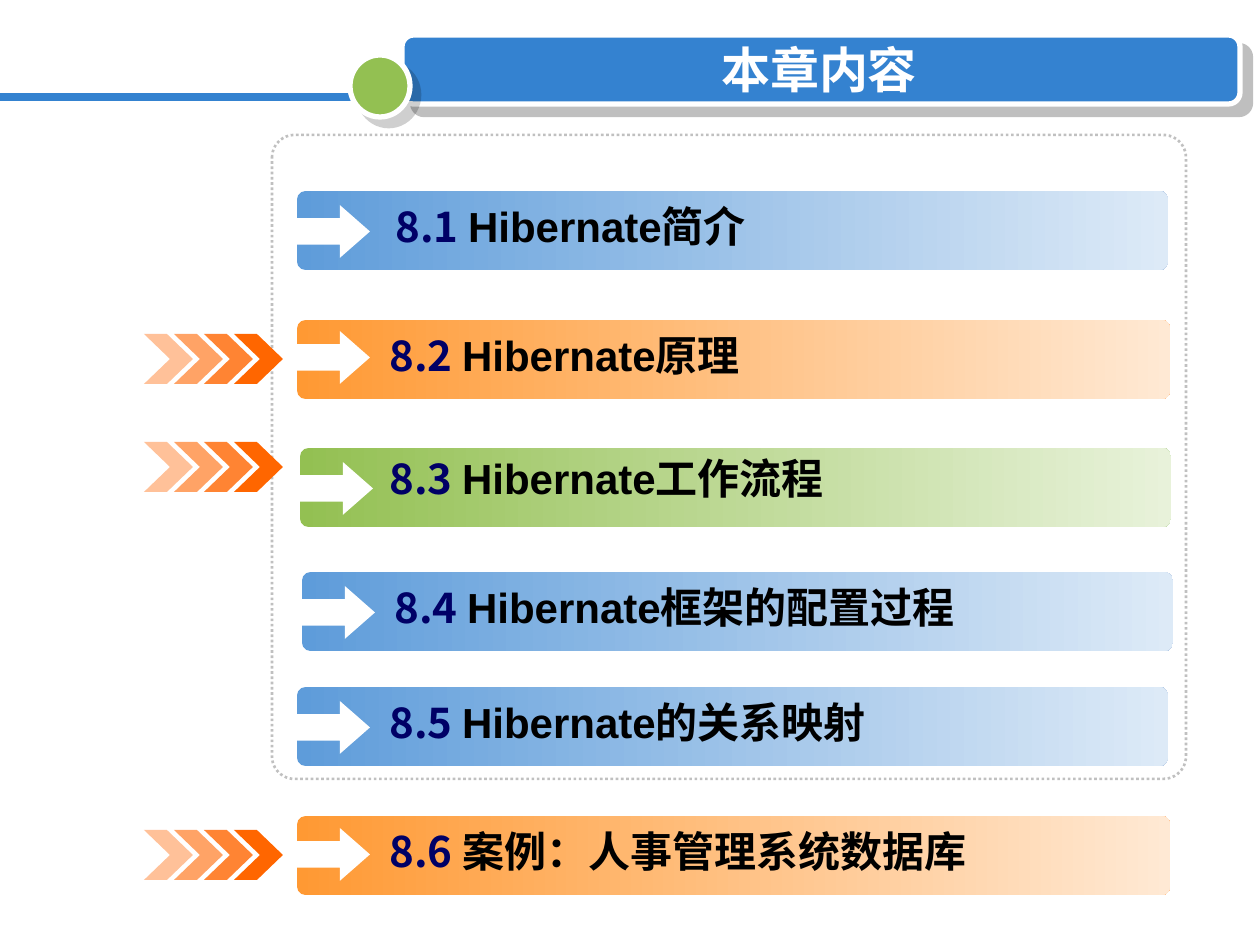
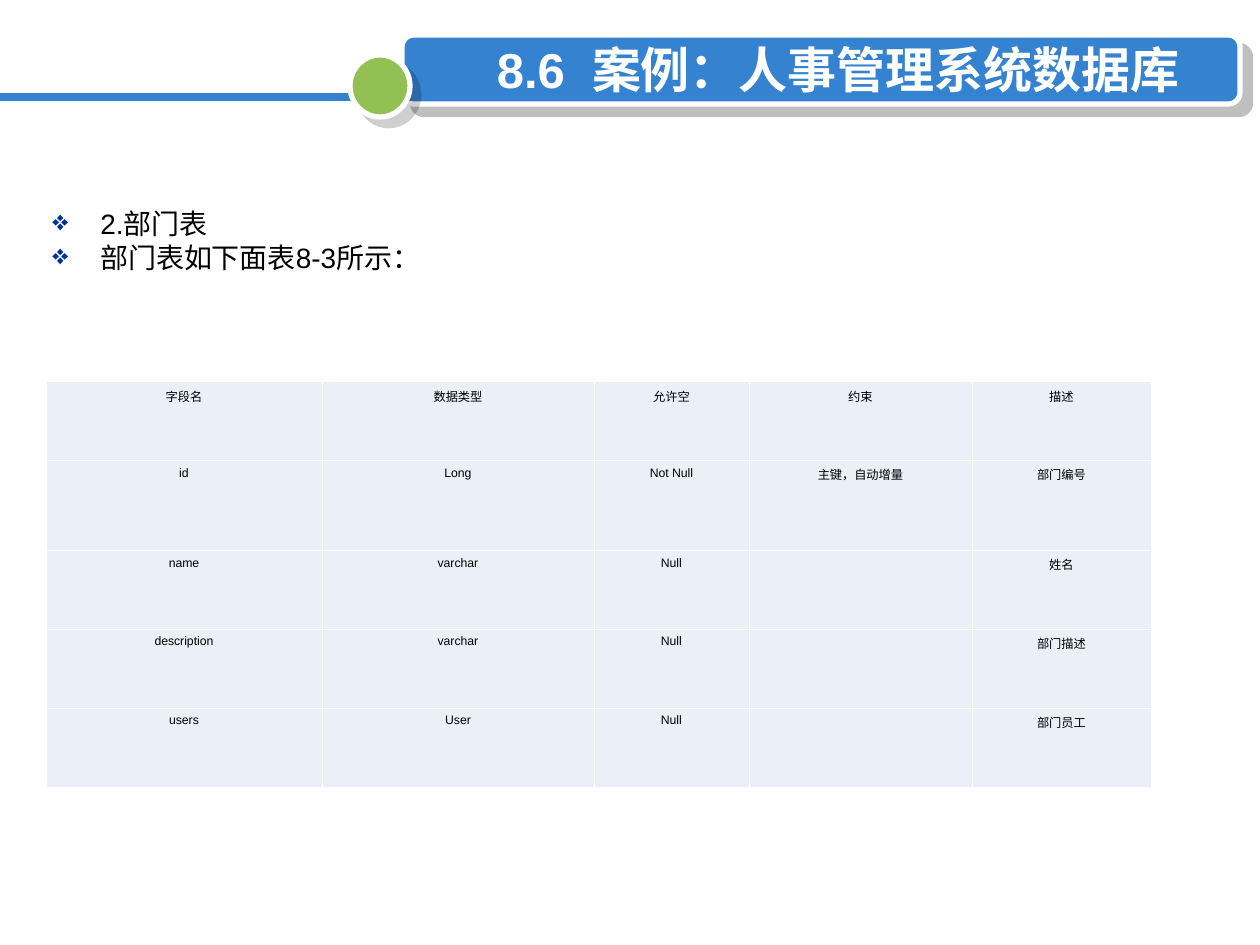
from dataclasses import dataclass

from lxml import etree
from pptx import Presentation
from pptx.dml.color import RGBColor
from pptx.enum.dml import MSO_LINE
from pptx.enum.shapes import MSO_CONNECTOR, MSO_SHAPE
from pptx.enum.text import MSO_ANCHOR, MSO_AUTO_SIZE, PP_ALIGN
from pptx.oxml.ns import qn
from pptx.util import Emu, Pt

ROUNDED = MSO_SHAPE.ROUNDED_RECTANGLE
RIGHT_ARROW = MSO_SHAPE.RIGHT_ARROW
OVAL = MSO_SHAPE.OVAL
STRAIGHT = MSO_CONNECTOR.STRAIGHT
DOTTED = MSO_LINE.ROUND_DOT
CENTER = PP_ALIGN.CENTER
MIDDLE = MSO_ANCHOR.MIDDLE
FIXED_SIZE = MSO_AUTO_SIZE.NONE

EMU_PER_PX = 914400 / 126
TITLE_ONLY = 5


@dataclass(frozen=True)
class Theme:
    white: str = "FFFFFF"
    black: str = "000000"
    banner: str = "3482D0"
    dot: str = "93C052"
    banner_shadow: str = "808080"
    panel_line: str = "C0C0C0"
    number: str = "000066"
    bullet: str = "003399"
    chevron: str = "FF6600"
    cell: str = "EAEFF8"
    blue_bar: tuple = ("5E9CDA", "DDEAF7")
    orange_bar: tuple = ("FF9933", "FFE9D4")
    green_bar: tuple = ("93C052", "E8F2DA")
    latin: str = "Arial"
    cjk: str = "Noto Sans CJK SC"
    title_size: int = 28
    section_size: int = 24
    body_size: int = 16
    cell_size: int = 7
    line_spacing: float = 0.9


THEME = Theme()


@dataclass(frozen=True)
class Section:
    """One bar of the chapter list; the drops are measured from the bar's top."""
    number: str
    name: str
    left: int
    top: int
    width: int
    colors: tuple
    label_left: int
    label_drop: int = 9
    arrow_drop: int = 14


SECTIONS = [
    Section("8.1 ", "Hibernate简介", 297, 191, 871, THEME.blue_bar, 383),
    Section("8.2 ", "Hibernate原理", 297, 320, 873, THEME.orange_bar, 377, arrow_drop=11),
    Section("8.3 ", "Hibernate工作流程", 300, 448, 871, THEME.green_bar, 377, label_drop=4),
    Section("8.4 ", "Hibernate框架的配置过程", 302, 572, 871, THEME.blue_bar, 382),
    Section("8.5 ", "Hibernate的关系映射", 297, 687, 871, THEME.blue_bar, 377),
    Section("8.6 ", "案例：人事管理系统数据库", 297, 816, 873, THEME.orange_bar, 377, arrow_drop=12),
]
CHEVRON_TOPS = [334, 442, 830]

DEPARTMENT_FIELDS = [
    ["字段名", "数据类型", "允许空", "约束", "描述"],
    ["id", "Long", "Not Null", "主键，自动增量", "部门编号"],
    ["name", "varchar", "Null", "", "姓名"],
    ["description", "varchar", "Null", "", "部门描述"],
    ["users", "User", "Null", "", "部门员工"],
]
COLUMN_WIDTHS = [276, 272, 155, 223, 179]
ROW_HEIGHTS = [79, 90, 79, 79, 79]


def px(length):
    return Emu(round(length * EMU_PER_PX))


def rgb(color):
    return RGBColor.from_string(color)


def add_child(parent, tag, **attributes):
    child = etree.SubElement(parent, qn(tag))
    for key, value in attributes.items():
        child.set(key, str(value))
    return child


def write(paragraph, text, *, size, color=THEME.black, latin=THEME.latin,
          bold=False, align=None):
    """Add one formatted run to a paragraph."""
    run = paragraph.add_run()
    run.text = text
    run.font.size = Pt(size)
    run.font.bold = bold
    run.font.color.rgb = rgb(color)
    run.font.name = latin
    add_child(run.font._element, "a:ea", typeface=THEME.cjk)
    if align is not None:
        paragraph.alignment = align


def add_shape(slide, kind, left, top, width, height, *, fill=None, line=None,
              line_width=3, adjustments=()):
    shape = slide.shapes.add_shape(kind, px(left), px(top), px(width), px(height))
    shape.shadow.inherit = False
    for index, value in enumerate(adjustments):
        shape.adjustments[index] = value
    if fill:
        shape.fill.solid()
        shape.fill.fore_color.rgb = rgb(fill)
    else:
        shape.fill.background()
    if line:
        shape.line.color.rgb = rgb(line)
        shape.line.width = Pt(line_width)
    else:
        shape.line.fill.background()
    return shape


def set_alpha(fill, percent):
    color = fill._xPr.find(qn("a:solidFill"))[0]
    add_child(color, "a:alpha", val=percent * 1000)


def cast_shadow(shape, color, percent, distance):
    """Drop a hard shadow to the lower right."""
    effects = shape.element.spPr.find(qn("a:effectLst"))
    shadow = add_child(effects, "a:outerShdw", blurRad=0, dist=Pt(distance),
                       dir=45 * 60000, algn="ctr", rotWithShape=0)
    shade = add_child(shadow, "a:srgbClr", val=color)
    add_child(shade, "a:alpha", val=percent * 1000)


def add_text_box(slide, left, top, width, height):
    frame = slide.shapes.add_textbox(px(left), px(top), px(width), px(height)).text_frame
    frame.word_wrap = True
    frame.auto_size = FIXED_SIZE
    return frame


def add_titled_slide(deck, title_text, title_left, title_width):
    """Start a slide with the shared banner, rule and dot behind its title."""
    slide = deck.slides.add_slide(deck.slide_layouts[TITLE_ONLY])
    banner = add_shape(slide, ROUNDED, 402, 35, 838, 69, fill=THEME.banner,
                       line=THEME.white, adjustments=[0.167])
    cast_shadow(banner, THEME.banner_shadow, 50, 8.5)

    rule = slide.shapes.add_connector(STRAIGHT, px(0), px(97), px(412), px(97))
    rule.line.color.rgb = rgb(THEME.banner)
    rule.line.width = Pt(4.5)
    add_child(rule.element.spPr, "a:effectLst")

    dot = add_shape(slide, OVAL, 350, 55, 60, 62, fill=THEME.dot, line=THEME.white)
    cast_shadow(dot, THEME.black, 19, 7.1)

    title = slide.shapes.title
    slide.shapes.element.append(title.element)
    title.left, title.top = px(title_left), px(35)
    title.width, title.height = px(title_width), px(67)
    frame = title.text_frame
    frame.word_wrap = True
    frame.auto_size = FIXED_SIZE
    frame.vertical_anchor = MIDDLE
    write(frame.paragraphs[0], title_text, size=THEME.title_size,
          color=THEME.white, bold=True, align=CENTER)
    return slide


def add_section(slide, section):
    bar = add_shape(slide, ROUNDED, section.left, section.top, section.width, 79,
                    adjustments=[0.109])
    bar.fill.gradient()
    bar.fill.gradient_angle = 0
    for position, (stop, color) in enumerate(zip(bar.fill.gradient_stops, section.colors)):
        stop.position = position
        stop.color.rgb = rgb(color)

    add_shape(slide, RIGHT_ARROW, section.left, section.top + section.arrow_drop, 73, 53,
              fill=THEME.white, adjustments=[0.5, 0.57])

    label = add_text_box(slide, section.label_left, section.top + section.label_drop,
                         665, 63).paragraphs[0]
    label.line_spacing = THEME.line_spacing
    write(label, section.number, size=THEME.section_size, color=THEME.number,
          latin=THEME.cjk, bold=True)
    write(label, section.name, size=THEME.section_size, bold=True)


def add_chevrons(slide, top):
    """Draw four chevrons that grow more opaque to the right."""
    for step, opacity in enumerate([40, 60, 80, 100]):
        left = 144 + 30 * step
        outline = slide.shapes.build_freeform(left, top, scale=EMU_PER_PX)
        outline.add_line_segments([
            (left + 23, top), (left + 49, top + 25), (left + 23, top + 50),
            (left, top + 50), (left + 26, top + 25),
        ])
        chevron = outline.convert_to_shape()
        chevron.shadow.inherit = False
        chevron.line.fill.background()
        chevron.fill.solid()
        chevron.fill.fore_color.rgb = rgb(THEME.chevron)
        if opacity < 100:
            set_alpha(chevron.fill, opacity)


def add_bullets(slide, items):
    frame = add_text_box(slide, 40, 204, 1134, 170)
    for index, item in enumerate(items):
        paragraph = frame.add_paragraph() if index else frame.paragraphs[0]
        properties = paragraph._p.get_or_add_pPr()
        properties.set("marL", str(px(48)))
        properties.set("indent", str(-px(48)))
        bullet_color = add_child(properties, "a:buClr")
        add_child(bullet_color, "a:srgbClr", val=THEME.bullet)
        add_child(properties, "a:buChar", char="❖")
        paragraph.line_spacing = THEME.line_spacing
        if index:
            paragraph.space_before = Pt(2.5)
        write(paragraph, item, size=THEME.body_size)


def set_borders(cell, color, width):
    properties = cell._tc.get_or_add_tcPr()
    for side in ("a:lnL", "a:lnR", "a:lnT", "a:lnB"):
        border = add_child(properties, side, w=Pt(width))
        add_child(add_child(border, "a:solidFill"), "a:srgbClr", val=color)


def add_field_table(slide, rows):
    table = slide.shapes.add_table(
        len(rows), len(COLUMN_WIDTHS), px(46), px(381),
        px(sum(COLUMN_WIDTHS)), px(sum(ROW_HEIGHTS))).table
    table.first_row = False
    table.horz_banding = False
    for column, width in zip(table.columns, COLUMN_WIDTHS):
        column.width = px(width)
    for row, height, values in zip(table.rows, ROW_HEIGHTS, rows):
        row.height = px(height)
        for cell, value in zip(row.cells, values):
            cell.margin_left = cell.margin_right = px(10)
            cell.margin_top = cell.margin_bottom = px(6)
            set_borders(cell, THEME.white, 0.45)
            cell.fill.solid()
            cell.fill.fore_color.rgb = rgb(THEME.cell)
            if value:
                write(cell.text_frame.paragraphs[0], value,
                      size=THEME.cell_size, align=CENTER)


def build_contents_slide(deck):
    slide = add_titled_slide(deck, "本章内容", 432, 774)
    panel = add_shape(slide, ROUNDED, 272, 135, 914, 644, line=THEME.panel_line,
                      line_width=1.5, adjustments=[0.035])
    panel.line.dash_style = DOTTED
    for section in SECTIONS:
        add_section(slide, section)
    for top in CHEVRON_TOPS:
        add_chevrons(slide, top)


def build_department_slide(deck):
    slide = add_titled_slide(deck, "8.6  案例：人事管理系统数据库", 441, 794)
    add_bullets(slide, ["2.部门表", "部门表如下面表8-3所示："])
    add_field_table(slide, DEPARTMENT_FIELDS)


def main():
    deck = Presentation()
    deck.slide_width, deck.slide_height = px(1260), px(945)
    build_contents_slide(deck)
    build_department_slide(deck)
    deck.save("out.pptx")


if __name__ == "__main__":
    main()
